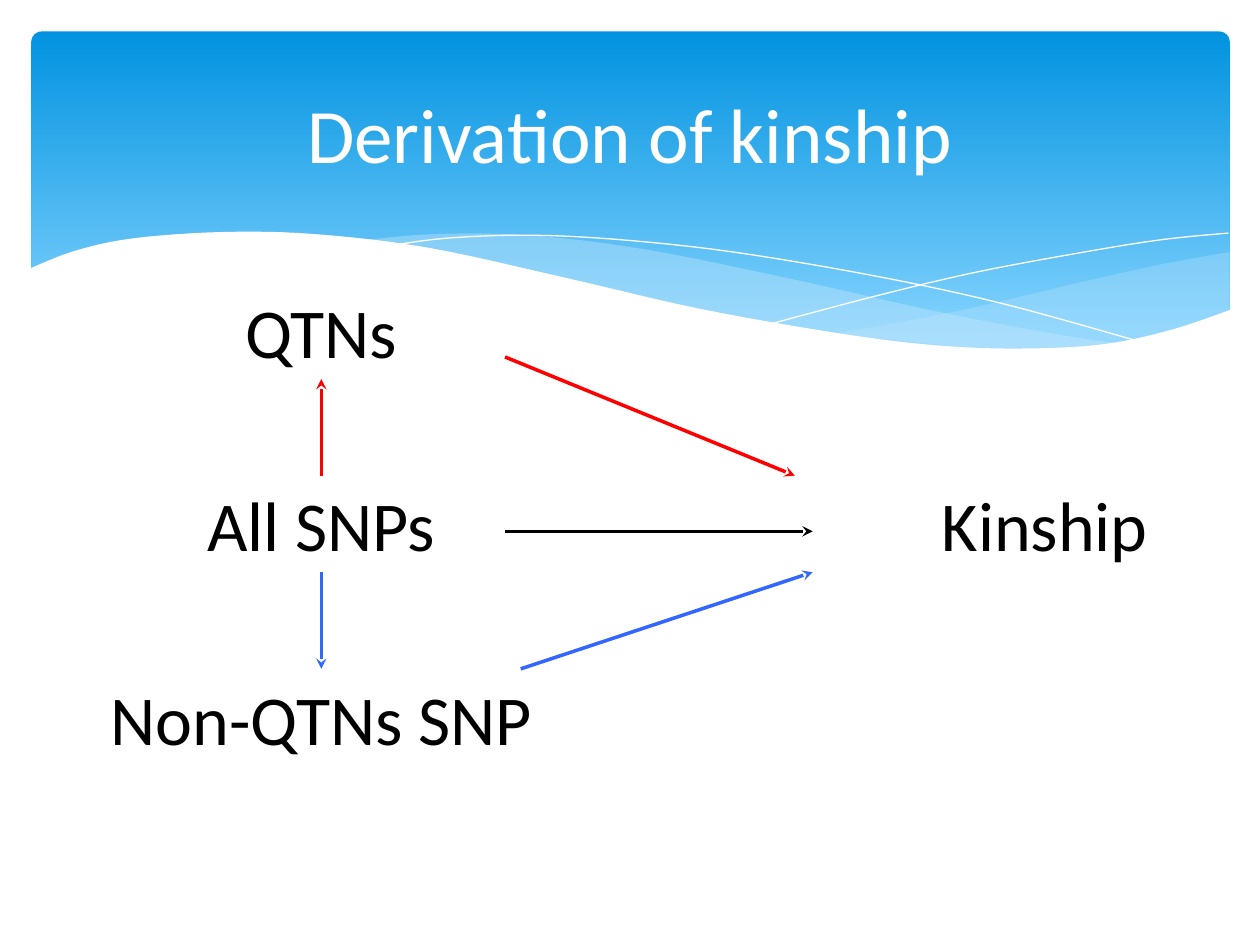
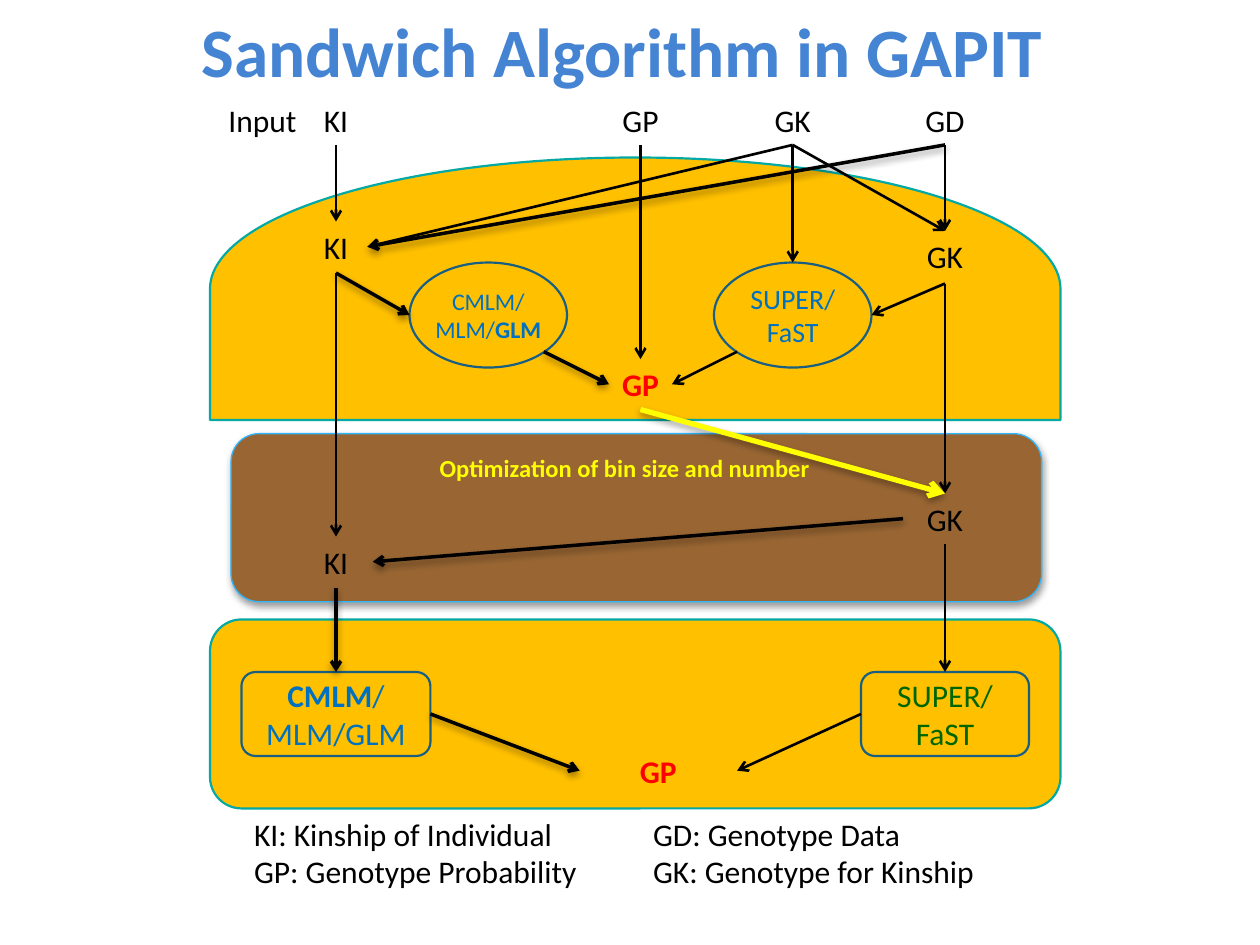
from dataclasses import dataclass

from pptx import Presentation, util as u
from pptx.dml.color import RGBColor
from pptx.enum import shapes, text
from pptx.oxml.xmlchemy import OxmlElement

COLUMNS, ROWS = 120, 90  # grid of twelve cells to the inch


@dataclass(frozen=True)
class Theme:
    font: str = "Calibri"
    white: str = "FFFFFF"
    black: str = "000000"
    red: str = "FF0000"
    blue: str = "3366FF"
    yellow: str = "FFFF00"
    sky: str = "0293E0"
    pale_sky: str = "83D3FE"
    mist: str = "C6E7FC"
    heading: str = "4584D3"
    bread: str = "FFC000"
    crust: str = "04A8A4"
    filling: str = "996633"
    filling_edge: str = "31B6FD"
    method: str = "0070C0"
    method_edge: str = "195F84"
    green: str = "006600"
    title: float = 44
    bold_title: float = 39.6
    large: float = 40
    body: float = 18
    medium: float = 16
    note: float = 14
    small: float = 13.6


THEME = Theme()
PRESET = shapes.MSO_SHAPE


def cells(count):
    return u.Inches(count / 12)


def rgb(value):
    return RGBColor.from_string(value)


def child(parent, tag, **attributes):
    element = OxmlElement(tag)
    for name, value in attributes.items():
        element.set(name, str(value))
    parent.append(element)
    return element


def set_effects(shape, shadow):
    """Replace the theme shadow by none, or by a soft one below the shape."""
    effects = child(shape.element.spPr, "a:effectLst")
    if shadow:
        outer = child(effects, "a:outerShdw", blurRad=u.Pt(4), dist=u.Pt(2),
                      dir=90 * 60000, rotWithShape=0)
        color = child(outer, "a:srgbClr", val=THEME.black)
        child(color, "a:alpha", val=38000)


def paint(shape, fill=None, edge=None, width=1.25, alpha=None, shadow=False):
    if fill:
        shape.fill.solid()
        shape.fill.fore_color.rgb = rgb(fill)
        if alpha:
            color = shape.fill._xPr.solidFill.srgbClr
            child(color, "a:alpha", val=alpha * 1000)
    else:
        shape.fill.background()
    if edge:
        shape.line.color.rgb = rgb(edge)
        shape.line.width = u.Pt(width)
    else:
        shape.line.fill.background()
    set_effects(shape, shadow)


def write(frame, lines, size, color, bold=(), centered=True, inset=0):
    """Fill a frame; "|" splits a line into spans, those listed in bold are bold."""
    frame.word_wrap = True
    frame.margin_left = frame.margin_right = cells(inset)
    for index, line in enumerate(lines):
        para = frame.paragraphs[0] if index == 0 else frame.add_paragraph()
        para.alignment = text.PP_ALIGN.CENTER if centered else text.PP_ALIGN.LEFT
        for piece in line.split("|"):
            span = para.add_run()
            span.text = piece
            span.font.name = THEME.font
            span.font.size = u.Pt(size)
            span.font.bold = piece in bold
            span.font.color.rgb = rgb(color)


def add_text(page, area, lines, size=THEME.body, color=THEME.black, **style):
    box = page.shapes.add_textbox(*map(cells, area))
    write(box.text_frame, lines, size, color, **style)
    return box


def add_title(page, top, height, title, size, color, bold=()):
    box = add_text(page, (6, top, COLUMNS - 12, height), [title], size, color, bold=bold)
    box.text_frame.vertical_anchor = text.MSO_ANCHOR.MIDDLE


def add_label(page, word, center, top, width=8, **style):
    add_text(page, (center - width / 2, top, width, 4.8), [word], **style)


def add_panel(page, preset, area, **look):
    panel = page.shapes.add_shape(preset, *map(cells, area))
    paint(panel, **look)
    return panel


def add_method(page, preset, area, lines, size, color, bold=()):
    box = add_panel(page, preset, area, edge=THEME.method_edge)
    box.text_frame.vertical_anchor = text.MSO_ANCHOR.MIDDLE
    write(box.text_frame, lines, size, color, bold)


def add_arrow(page, start, end, color=THEME.black, width=1.5, head="arrow", shadow=False):
    arrow = page.shapes.add_connector(
        shapes.MSO_CONNECTOR.STRAIGHT, *map(cells, (*start, *end)))
    arrow.line.color.rgb = rgb(color)
    arrow.line.width = u.Pt(width)
    child(arrow.line._get_or_add_ln(), "a:tailEnd", type=head)
    set_effects(arrow, shadow)


def smooth(knots, steps=6):
    """Points of a Catmull-Rom curve through the knots."""
    padded = [knots[0], *knots, knots[-1]]
    points = [knots[0]]
    for a, b, c, d in zip(padded, padded[1:], padded[2:], padded[3:]):
        for step in range(1, steps + 1):
            t = step / steps
            points.append(tuple(
                (2 * q + (r - p) * t + (2 * p - 5 * q + 4 * r - s) * t ** 2
                 + (3 * q - p - 3 * r + s) * t ** 3) / 2
                for p, q, r, s in zip(a, b, c, d)))
    return points


def add_outline(page, points, closed=True, **look):
    (x, y), *rest = [(cells(x), cells(y)) for x, y in points]
    builder = page.shapes.build_freeform(x, y)
    builder.add_line_segments(rest, close=closed)
    paint(builder.convert_to_shape(), **look)


def add_wave_band(page):
    band = add_panel(page, PRESET.ROUNDED_RECTANGLE, (3, 3, 114.1, 32.4), fill=THEME.sky)
    band.adjustments[0] = 0.03
    band.fill.gradient()
    band.fill.gradient_angle = 270
    stops = zip(band.fill.gradient_stops, (THEME.sky, THEME.pale_sky), (0, 0.9))
    for stop, color, position in stops:
        stop.color.rgb = rgb(color)
        stop.position = position

    right_top = [(117.1, 24), (110.5, 25.2), (103.3, 26.8), (90.4, 29.8), (79.3, 31.8)]
    right_base = [(79.3, 31.8), (86.3, 32.5), (96.4, 33.4), (105.7, 32.8),
                  (112.2, 31.4), (117.1, 29.6)]
    middle_top = [(34.3, 22.9), (41.3, 22.3), (50.4, 22.4), (61.7, 23.8),
                  (75.5, 26.6), (88.9, 29.6), (100.4, 31.8), (107.2, 32.8)]
    middle_base = [(107.2, 32.8), (96.8, 33.4), (86.6, 32.9), (76.1, 31.3),
                   (63.6, 28.8), (51.2, 25.9), (41, 23.9), (34.3, 22.9)]
    for top, base, alpha in ((right_top, right_base, 29), (middle_top, middle_base, 40)):
        add_outline(page, smooth(top) + smooth(base), fill=THEME.mist, alpha=alpha)

    falling = [(37.1, 23.4), (42.4, 22.7), (49.9, 22.4), (58.7, 22.8),
               (69.8, 24), (83.4, 26.3), (95.4, 28.9), (108.8, 32.6)]
    rising = [(73.6, 30.8), (83.4, 28.2), (93.1, 25.9), (103.9, 23.9),
              (110.9, 22.8), (117, 22.2)]
    for strand in (falling, rising):
        add_outline(page, smooth(strand), closed=False, edge=THEME.white, width=0)

    edge = [(2.8, 25.6), (7.1, 23.9), (12.7, 22.7), (21.2, 22.1), (30, 22.3),
            (40.8, 23.6), (53.6, 26.4), (66.6, 29.4), (80.2, 31.8), (89.3, 32.9),
            (97.1, 33.2), (105, 32.8), (111.6, 31.4), (117.2, 29.5)]
    add_outline(page, smooth(edge) + [(117.2, 39.5), (2.8, 39.5)], fill=THEME.white)


def build_kinship(page):
    add_wave_band(page)
    add_title(page, 4.4, 16.5, "Derivation of kinship", THEME.title, THEME.white)
    for word, center, top, width in (
            ("QTNs", 30.6, 26.9, 42), ("All SNPs", 30.6, 45.3, 42),
            ("Non-QTNs SNP", 30.6, 63.7, 49.3), ("Kinship", 99.5, 45.3, 33.6)):
        add_text(page, (center - width / 2, top, width, 9.2), [word], THEME.large)
    for start, end, color in (
            ((30.6, 54.5), (30.6, 63.7), THEME.blue),
            ((30.6, 45.3), (30.6, 36.1), THEME.red),
            ((48.1, 34), (75.7, 45.3), THEME.red),
            ((49.6, 63.7), (77.4, 54.5), THEME.blue),
            ((48.1, 50.6), (77.4, 50.6), THEME.black)):
        add_arrow(page, start, end, color, width=2, head="stealth")


def build_sandwich(page):
    ki, gp, gk, gd = 32, 61, 75.5, 90  # columns of the four data kinds
    inputs = 13.8  # row where the input arrows start

    add_panel(page, PRESET.ROUNDED_RECTANGLE, (22, 41.3, 77.2, 16), fill=THEME.filling,
              edge=THEME.filling_edge, width=0.75, shadow=True)
    bread = dict(fill=THEME.bread, edge=THEME.crust)
    top_bread = add_panel(page, PRESET.FLOWCHART_DELAY, (48, -13, 25, 81), **bread)
    top_bread.rotation = 270
    add_panel(page, PRESET.ROUNDED_RECTANGLE, (20, 59, 81, 18), **bread)

    title = "Sandwich Algorithm in GAPIT "
    add_title(page, 0, 9.4, title, THEME.bold_title, THEME.heading, bold=[title])

    for word, center, top in (
            ("Input", 25, 9), ("KI", ki, 9), ("GP", gp, 9), ("GK", gk, 9), ("GD", gd, 9),
            ("KI", ki, 21.1), ("GK", gd, 22), ("GK", gd, 47), ("KI", ki, 51.1)):
        add_label(page, word, center, top)
    for center, top in ((gp, 34.2), (62.7, 71)):
        add_label(page, "GP", center, top, color=THEME.red, bold=["GP"])
    note = "Optimization of bin size and number"
    add_label(page, note, 59.5, 42.6, 47, size=THEME.note, color=THEME.yellow, bold=[note])

    add_method(page, PRESET.OVAL, (39, 25, 15, 10), ["CMLM/", "MLM/|GLM"],
               THEME.small, THEME.method, bold=["GLM"])
    add_method(page, PRESET.OVAL, (68, 25, 15, 10), ["SUPER/", "FaST"],
               THEME.medium, THEME.method)
    add_method(page, PRESET.ROUNDED_RECTANGLE, (23, 64, 18, 8), ["CMLM|/", "MLM/GLM"],
               THEME.body, THEME.method, bold=["CMLM"])
    add_method(page, PRESET.ROUNDED_RECTANGLE, (82, 64, 16, 8), ["SUPER/", "FaST"],
               THEME.body, THEME.green)

    for left, lines in (
            (23, ["KI: Kinship of Individual", "GP: Genotype Probability"]),
            (61, ["GD: Genotype Data", "GK: Genotype for Kinship"])):
        add_text(page, (left, 77, 44, 9), lines, centered=False, inset=1.2)

    for start, end in (
            ((ki, inputs), (ki, 21.1)), ((gp, inputs), (gp, 34.2)),
            ((gk, inputs), (gk, 25)), ((gd, inputs), (gd, 22)),
            ((gk, inputs), (35, 23.5)), ((gk, inputs), (gd, 22)),
            ((gd, 27), (83, 30)), ((70.2, 33.5), (64, 36.6)),
            ((ki, 26), (ki, 51.1)), ((gd, 27), (gd, 47)),
            ((gd, 51.8), (gd, 64)), ((82, 68), (70.2, 73.4))):
        add_arrow(page, start, end)
    for start, end in (
            ((gd, inputs), (35, 23.5)), ((ki, 26), (39, 30)),
            ((51.8, 33.5), (58, 36.6)), ((86, 49.4), (35.5, 53.5)),
            ((ki, 56), (ki, 64)), ((41, 68), (55.2, 73.4))):
        add_arrow(page, start, end, width=2, shadow=True)
    add_arrow(page, (gp, 39), (gd, 47), THEME.yellow, width=3, shadow=True)


def main():
    deck = Presentation()
    deck.slide_width, deck.slide_height = cells(COLUMNS), cells(ROWS)
    blank = deck.slide_layouts[6]
    for build in (build_kinship, build_sandwich):
        build(deck.slides.add_slide(blank))
    deck.save("out.pptx")


if __name__ == "__main__":
    main()
